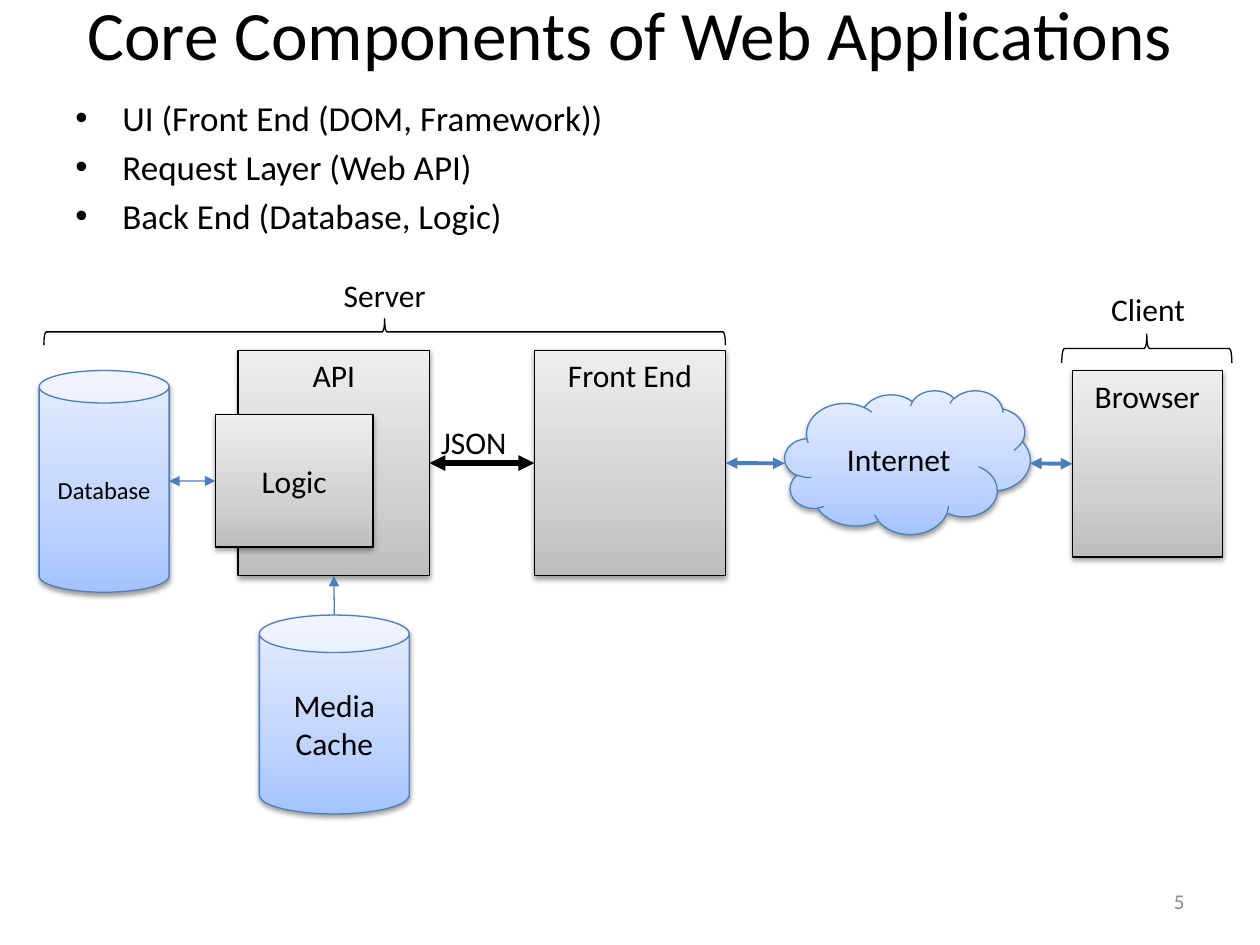
"""Build a slide on the core components of web applications."""
from copy import deepcopy
from lxml import etree
from pptx import Presentation
from pptx.dml.color import RGBColor
from pptx.enum import shapes as sh, text as tx
from pptx.oxml.ns import qn
from pptx.util import Cm, Pt

BLACK = RGBColor(0x00, 0x00, 0x00)
GREY = RGBColor(0x8C, 0x8C, 0x8C)
BLUE = RGBColor(0x4B, 0x7E, 0xBC)
SKY = [RGBColor(0xA4, 0xC4, 0xFF), RGBColor(0xBF, 0xD4, 0xFF), RGBColor(0xE6, 0xEE, 0xFF)]
STEEL = [RGBColor(0xBD, 0xBD, 0xBD), RGBColor(0xD1, 0xD1, 0xD1), RGBColor(0xEE, 0xEE, 0xEE)]
STOPS = [0, 0.35, 1]
FONT = "Calibri"

KIND, ALIGN, ANCHOR = sh.MSO_SHAPE, tx.PP_ALIGN, tx.MSO_ANCHOR
TOP, LEFT, BOTTOM, RIGHT = range(4)
MID = 9.34

POINTS = [
    "UI (Front End (DOM, Framework))",
    "Request Layer (Web API)",
    "Back End (Database, Logic)",
]
TEXTS = [
    (["5"], (18.21, 17.65, 5.92, 1.02),
     dict(size=12, color=GREY, align=ALIGN.RIGHT, anchor=ANCHOR.MIDDLE)),
    (["Core Components of Web Applications"], (1.27, 0.15, 22.86, 1.04),
     dict(size=39.6, anchor=ANCHOR.MIDDLE)),
    (POINTS, (1.27, 1.83, 22.86, 12.57), dict(size=20, align=ALIGN.LEFT, bullet="•", gap=4)),
    (["JSON"], (8.64, 8.41, 3.1, 1.02), dict(align=ALIGN.LEFT)),
    (["Client"], (21.95, 5.72, 2.39, 1.02), {}),
    (["Server"], (4.29, 5.44, 6.93, 1.02), {}),
]
PARTS = [
    ("Internet", KIND.CLOUD, (15.82, 7.87, 4.95, 2.9), dict(anchor=ANCHOR.MIDDLE)),
    ("Browser", KIND.RECTANGLE, (21.62, 7.47, 3.02, 3.76), {}),
    ("Media Cache", KIND.CAN, (5.23, 12.4, 3.02, 4.01), dict(anchor=ANCHOR.MIDDLE)),
    ("API", KIND.RECTANGLE, (4.8, 7.06, 3.86, 4.55), {}),
    ("Front End", KIND.RECTANGLE, (10.77, 7.06, 3.86, 4.55), {}),
    ("Database", KIND.CAN, (0.79, 7.47, 2.62, 4.47), dict(size=14, anchor=ANCHOR.MIDDLE)),
    ("Logic", KIND.RECTANGLE, (4.34, 8.36, 3.18, 2.67), dict(anchor=ANCHOR.MIDDLE)),
]
LINKS = [
    ((6.74, 12.4), (6.74, 11.61), None, ("API", BOTTOM), BLUE, 0.75, ["tail"]),
    ((14.63, MID), (15.82, MID), ("Front End", RIGHT), None, BLUE, 2.25, ["head", "tail"]),
    ((20.76, MID), (21.62, MID), None, ("Browser", LEFT), BLUE, 2.25, ["head", "tail"]),
    ((8.66, MID), (10.77, MID), ("API", RIGHT), ("Front End", LEFT), BLACK, 3, ["head", "tail"]),
    ((3.41, 9.7), (4.34, 9.7), None, ("Logic", LEFT), BLUE, 0.75, ["head", "tail"]),
]
BRACES = [(22.83, 5.31, 0.58, 3.43), (7.49, -0.18, 0.53, 13.74)]


def write(frame, lines, size=18, color=BLACK, align=ALIGN.CENTER, anchor=ANCHOR.TOP,
          bullet=None, gap=0):
    frame.word_wrap = True
    frame.vertical_anchor = anchor
    for i, line in enumerate(lines):
        para = frame.paragraphs[0] if i == 0 else frame.add_paragraph()
        para.text = line
        para.alignment = align
        para.space_before = Pt(gap if i else 0)
        if bullet:
            props = para._p.get_or_add_pPr()
            props.set("marL", str(Cm(0.95)))
            props.set("indent", str(-Cm(0.95)))
            etree.SubElement(props, qn("a:buFont"), typeface="Arial")
            etree.SubElement(props, qn("a:buChar"), char=bullet)
        font = para.runs[0].font
        font.name, font.size, font.color.rgb = FONT, Pt(size), color


def stroke(line, color, width):
    line.color.rgb = color
    line.width = Pt(width)


def shade(shape, colors):
    shape.fill.gradient()
    shape.fill.gradient_angle = 90
    stops = shape.element.spPr.find(qn("a:gradFill")).find(qn("a:gsLst"))
    stops.append(deepcopy(stops[0]))
    for stop, place, color in zip(shape.fill.gradient_stops, STOPS, colors):
        stop.position = place
        stop.color.rgb = color


def drop(shape):
    shape.shadow.inherit = False
    effect = shape.element.spPr.find(qn("a:effectLst"))
    outer = etree.SubElement(effect, qn("a:outerShdw"), blurRad=str(Pt(3.1)),
                             dist=str(Pt(1.6)), dir="5400000", rotWithShape="0")
    tint = etree.SubElement(outer, qn("a:srgbClr"), val=str(BLACK))
    etree.SubElement(tint, qn("a:alpha"), val="38000")


def add_part(slide, name, kind, box, form):
    part = slide.shapes.add_shape(kind, *map(Cm, box))
    plain = kind == KIND.RECTANGLE
    shade(part, STEEL if plain else SKY)
    stroke(part.line, BLACK if plain else BLUE, 0.75)
    drop(part)
    write(part.text_frame, [name], **form)
    return part


def add_link(slide, parts, start, end, tie, join, color, width, tips):
    link = slide.shapes.add_connector(sh.MSO_CONNECTOR.STRAIGHT, *map(Cm, start + end))
    if tie:
        link.begin_connect(parts[tie[0]], tie[1])
    if join:
        link.end_connect(parts[join[0]], join[1])
    stroke(link.line, color, width)
    props = link.element.spPr
    for tip in tips:
        etree.SubElement(props.find(qn("a:ln")), qn(f"a:{tip}End"), type="triangle")
    etree.SubElement(props, qn("a:effectLst"))


def add_brace(slide, box):
    brace = slide.shapes.add_shape(KIND.RIGHT_BRACE, *map(Cm, box))
    brace.rotation = 270
    brace.fill.background()
    brace.shadow.inherit = False
    stroke(brace.line, BLACK, 0.75)


def main():
    deck = Presentation()
    deck.slide_width, deck.slide_height = Cm(25.4), Cm(19.05)
    slide = deck.slides.add_slide(deck.slide_layouts[6])
    parts = {part[0]: add_part(slide, *part) for part in PARTS}
    for link in LINKS:
        add_link(slide, parts, *link)
    for box in BRACES:
        add_brace(slide, box)
    for lines, box, form in TEXTS:
        write(slide.shapes.add_textbox(*map(Cm, box)).text_frame, lines, **form)
    deck.save("out.pptx")


if __name__ == "__main__":
    main()
